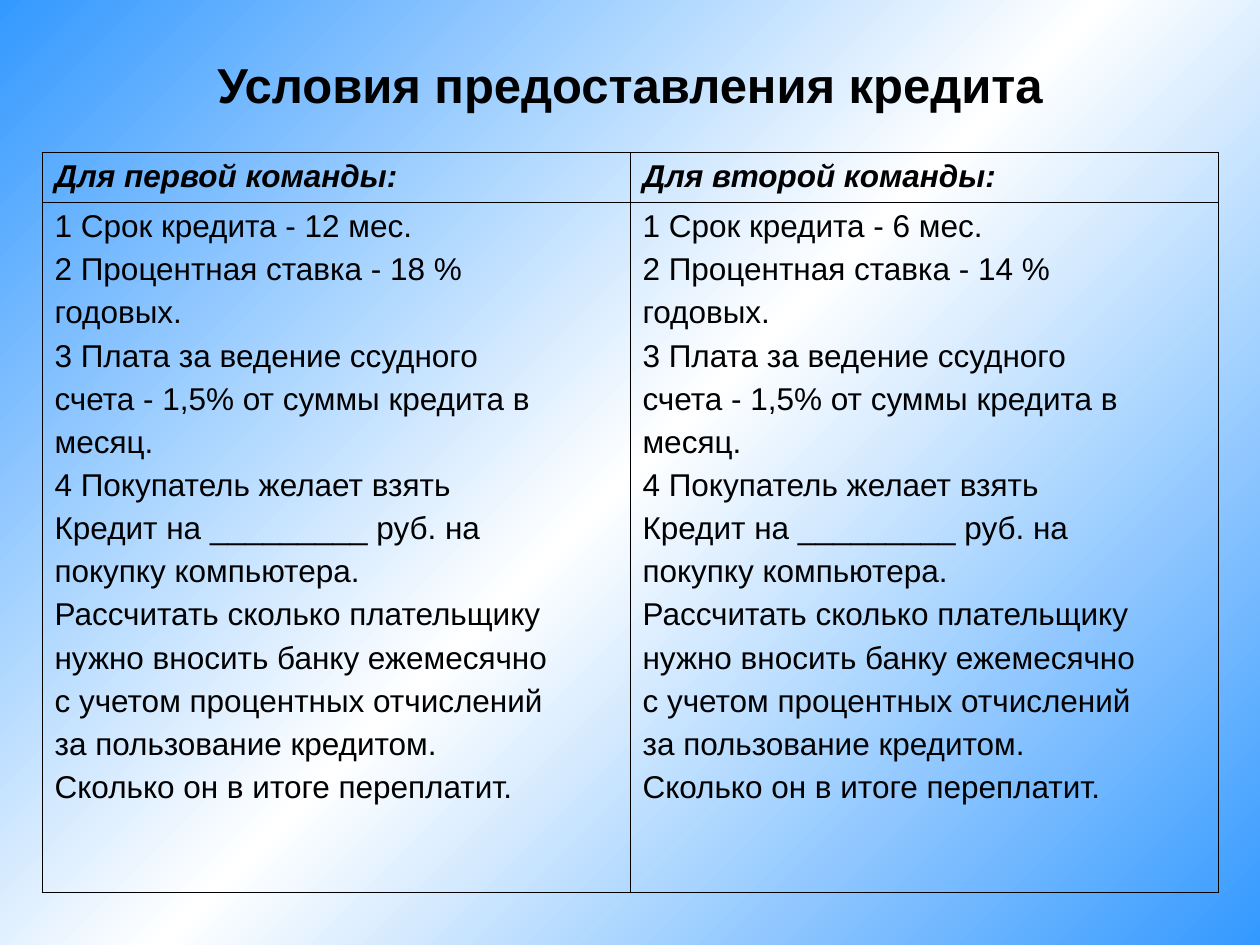
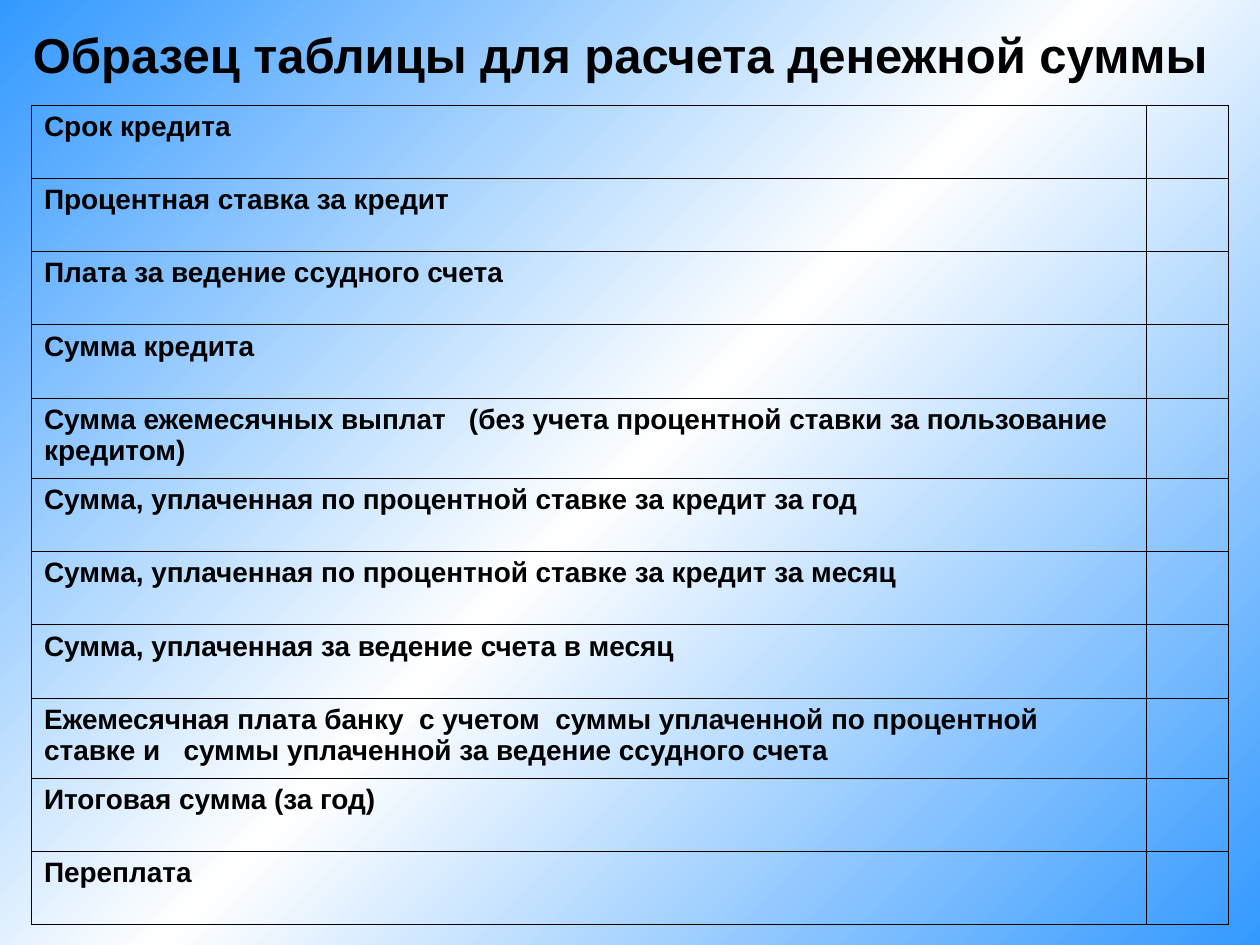
"""Build two slides on loan terms and the sample table for working out the payments."""
import copy
from dataclasses import dataclass

import lxml.etree
import pptx
import pptx.dml.color
import pptx.enum.text
import pptx.oxml.ns
import pptx.util

Pt = pptx.util.Pt
qn = pptx.oxml.ns.qn

COLORS = {"sky": "3399FF", "glow": "FFFFFF", "ink": "000000"}
FONT = "Arial"
BORDER_WIDTH = 0.45


@dataclass(frozen=True)
class Style:
    size: float
    bold: bool = False
    italic: bool = False
    space_before: float = 0


@dataclass(frozen=True)
class Run:
    text: str
    style: Style


@dataclass(frozen=True)
class Heading:
    left: float
    top: float
    width: float
    height: float
    runs: tuple[Run, ...]


@dataclass(frozen=True)
class Cell:
    lines: tuple[str, ...]
    style: Style


@dataclass(frozen=True)
class Grid:
    left: float
    top: float
    columns: tuple[float, ...]
    heights: tuple[float, ...]
    rows: tuple[tuple[Cell, ...], ...]


TITLE = Style(28, bold=True)
TITLE_END = Style(40)
TEAM = Style(18, bold=True, italic=True, space_before=4.5)
TERMS = Style(18, space_before=4.5)
ENTRY = Style(16, bold=True, space_before=4)


def rgb(name: str) -> pptx.dml.color.RGBColor:
    return pptx.dml.color.RGBColor.from_string(COLORS[name])


def paint_background(master: pptx.slide.SlideMaster) -> None:
    fill = master.background.fill
    fill.gradient()
    fill.gradient_angle = 135
    stop_list = next(master.element.iter(qn("a:gsLst")))
    stop_list.insert(1, copy.deepcopy(stop_list[0]))
    for index, name in enumerate(("sky", "glow", "sky")):
        stop = fill.gradient_stops[index]
        stop.position = index / 2
        stop.color.rgb = rgb(name)


def add_run(paragraph: pptx.text.text._Paragraph, content: Run) -> None:
    run = paragraph.add_run()
    run.text = content.text
    run.font.name = FONT
    run.font.size = Pt(content.style.size)
    run.font.bold = content.style.bold
    run.font.italic = content.style.italic
    run.font.color.rgb = rgb("ink")


def add_heading(slide: pptx.slide.Slide, heading: Heading) -> None:
    frame = slide.shapes.add_textbox(
        Pt(heading.left), Pt(heading.top), Pt(heading.width), Pt(heading.height)
    ).text_frame
    frame.word_wrap = True
    frame.vertical_anchor = pptx.enum.text.MSO_ANCHOR.MIDDLE
    paragraph = frame.paragraphs[0]
    paragraph.alignment = pptx.enum.text.PP_ALIGN.CENTER
    for run in heading.runs:
        add_run(paragraph, run)


def outline_cell(cell: pptx.table._Cell) -> None:
    properties = cell._tc.get_or_add_tcPr()
    for side in ("a:lnL", "a:lnR", "a:lnT", "a:lnB"):
        line = lxml.etree.SubElement(properties, qn(side), w=str(int(Pt(BORDER_WIDTH))))
        solid = lxml.etree.SubElement(line, qn("a:solidFill"))
        lxml.etree.SubElement(solid, qn("a:srgbClr"), val=COLORS["ink"])
    cell.fill.background()


def fill_cell(cell: pptx.table._Cell, content: Cell) -> None:
    frame = cell.text_frame
    for index, line in enumerate(content.lines):
        paragraph = frame.add_paragraph() if index else frame.paragraphs[0]
        paragraph.space_before = Pt(content.style.space_before)
        add_run(paragraph, Run(line, content.style))


def add_grid(slide: pptx.slide.Slide, grid: Grid) -> None:
    table = slide.shapes.add_table(
        len(grid.heights), len(grid.columns), Pt(grid.left), Pt(grid.top),
        Pt(sum(grid.columns)), Pt(sum(grid.heights)),
    ).table
    table.first_row = table.horz_banding = False
    for column, width in zip(table.columns, grid.columns):
        column.width = Pt(width)
    for row, height, contents in zip(table.rows, grid.heights, grid.rows):
        row.height = Pt(height)
        for cell, content in zip(row.cells, contents):
            outline_cell(cell)
            fill_cell(cell, content)


def loan_terms(months: int, rate: int) -> Cell:
    return Cell((
        f"1 Срок кредита - {months} мес.",
        f"2 Процентная ставка - {rate} %",
        "годовых.",
        "3 Плата за ведение ссудного",
        "счета - 1,5% от суммы кредита в",
        "месяц.",
        "4 Покупатель желает взять",
        "Кредит на _________ руб. на",
        "покупку компьютера.",
        "Рассчитать сколько плательщику",
        "нужно вносить банку ежемесячно",
        "с учетом процентных отчислений",
        "за пользование кредитом.",
        "Сколько он в итоге переплатит.",
    ), TERMS)


ENTRIES = (
    "Срок кредита",
    "Процентная ставка за кредит",
    "Плата за ведение ссудного счета",
    "Сумма кредита",
    "Сумма ежемесячных выплат   (без учета процентной ставки за пользование кредитом)",
    "Сумма, уплаченная по процентной ставке за кредит за год",
    "Сумма, уплаченная по процентной ставке за кредит за месяц",
    "Сумма, уплаченная за ведение счета в месяц",
    "Ежемесячная плата банку  с учетом  суммы уплаченной по процентной ставке и   "
    "суммы уплаченной за ведение ссудного счета",
    "Итоговая сумма (за год)",
    "Переплата",
)
ONE_LINE, TWO_LINES, LINE_LIMIT = 41.85, 45.9, 70

SLIDES = (
    (
        Heading(36, 24, 648, 48, (Run("Условия предоставления кредита", TITLE),)),
        Grid(24, 87, (336, 336), (28.8, 394.2), (
            (Cell(("Для первой команды:",), TEAM), Cell(("Для второй команды:",), TEAM)),
            (loan_terms(12, 18), loan_terms(6, 14)),
        )),
    ),
    (
        Heading(0, 0, 720, 52, (
            Run("Образец таблицы для расчета денежной суммы", TITLE),
            Run(" ", TITLE_END),
        )),
        Grid(
            18, 60, (637, 47),
            tuple(TWO_LINES if len(entry) > LINE_LIMIT else ONE_LINE for entry in ENTRIES),
            tuple((Cell((entry,), ENTRY), Cell((), ENTRY)) for entry in ENTRIES),
        ),
    ),
)


def main() -> None:
    deck = pptx.Presentation()
    deck.slide_width, deck.slide_height = Pt(720), Pt(540)
    paint_background(deck.slide_master)
    for heading, grid in SLIDES:
        slide = deck.slides.add_slide(deck.slide_layouts[6])
        add_heading(slide, heading)
        add_grid(slide, grid)
    deck.save("out.pptx")


if __name__ == "__main__":
    main()
